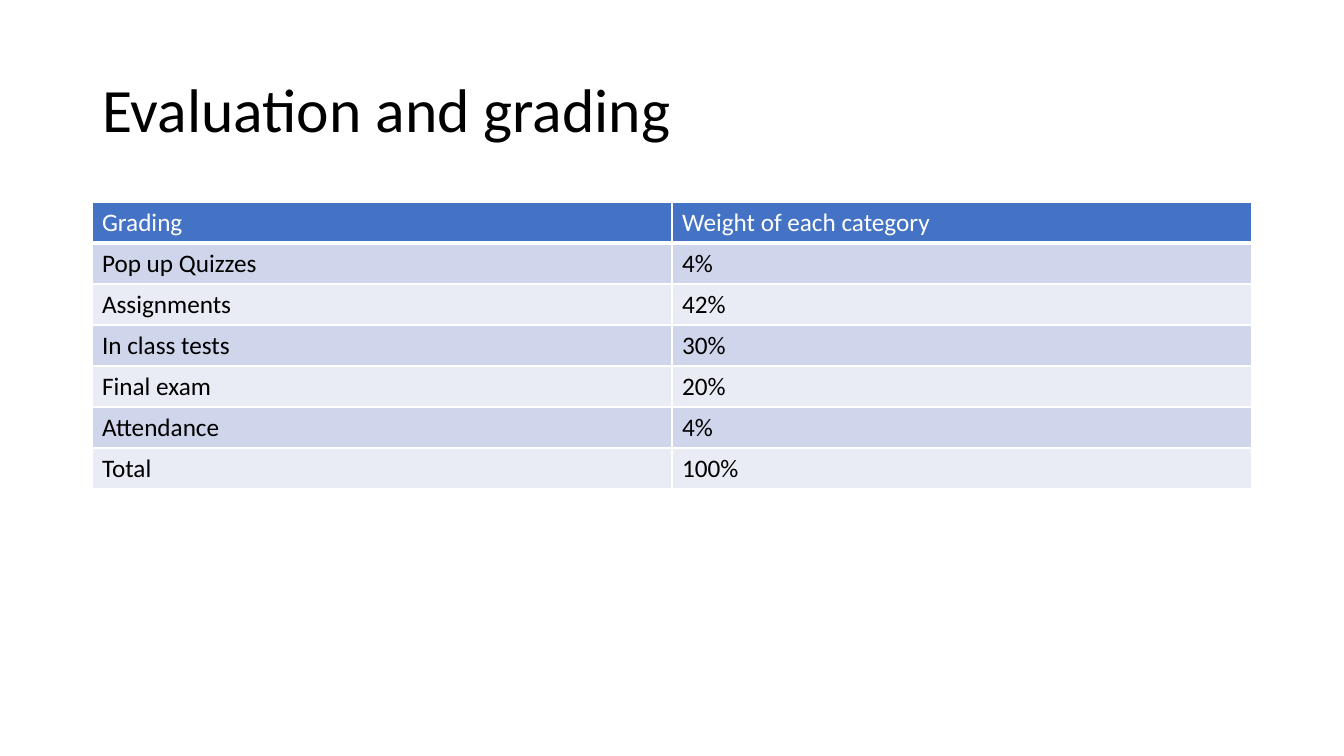
from lxml.etree import SubElement
from pptx import Presentation
from pptx.dml.color import RGBColor
from pptx.enum.text import MSO_ANCHOR, PP_ALIGN
from pptx.oxml.ns import qn
from pptx.util import Emu, Pt

SCALE = 914400 / 100.8  # EMU in one px
COLORS = {
    "black": "000000",
    "white": "FFFFFF",
    "header": "4472C4",
    "odd_row": "CFD5EA",
    "even_row": "E9EBF5",
}
GRADING = [
    ("Grading", "Weight of each category"),
    ("Pop up Quizzes", "4%"),
    ("Assignments", "42%"),
    ("In class tests", "30%"),
    ("Final exam", "20%"),
    ("Attendance", "4%"),
    ("Total", "100%"),
]


def px(length):
    return Emu(round(length * SCALE))


class SlideBuilder:
    """Holds the style and the current slide."""

    font_name = "Calibri"

    def __init__(self, slide):
        self.slide = slide

    def add_run(self, paragraph, text, size, color):
        run = paragraph.add_run()
        run.text = text
        run.font.name = self.font_name
        run.font.size = Pt(size)
        run.font.bold = False
        run.font.color.rgb = RGBColor.from_string(COLORS[color])

    def title(self, text, left, top, width, height):
        shape = self.slide.shapes.title
        shape.left, shape.top = px(left), px(top)
        shape.width, shape.height = px(width), px(height)
        shape.text_frame.vertical_anchor = MSO_ANCHOR.MIDDLE
        paragraph = shape.text_frame.paragraphs[0]
        paragraph.alignment = PP_ALIGN.LEFT
        paragraph.line_spacing = 0.9
        self.add_run(paragraph, text, 44, "black")

    def borders(self, cell, bottom_width):
        properties = cell._tc.get_or_add_tcPr()
        widths = {"a:lnL": 1, "a:lnR": 1, "a:lnT": 1, "a:lnB": bottom_width}
        for side, width in widths.items():
            line = SubElement(properties, qn(side), w=str(Pt(width)))
            fill = SubElement(line, qn("a:solidFill"))
            SubElement(fill, qn("a:srgbClr"), val=COLORS["white"])

    def table(self, rows, left, top, column_width, row_height):
        column_count = len(rows[0])
        frame = self.slide.shapes.add_table(
            len(rows), column_count, px(left), px(top),
            px(column_width * column_count), px(row_height * len(rows)))
        for row_index, values in enumerate(rows):
            is_header = row_index == 0
            band = "odd_row" if row_index % 2 else "even_row"
            for column_index, text in enumerate(values):
                cell = frame.table.cell(row_index, column_index)
                self.borders(cell, 3 if is_header else 1)
                cell.fill.solid()
                cell.fill.fore_color.rgb = RGBColor.from_string(
                    COLORS["header" if is_header else band])
                self.add_run(cell.text_frame.paragraphs[0], text, 18,
                             "white" if is_header else "black")


def main():
    presentation = Presentation()
    presentation.slide_width, presentation.slide_height = px(1344), px(756)
    title_only = presentation.slide_layouts[5]
    builder = SlideBuilder(presentation.slides.add_slide(title_only))

    # Title
    builder.title("Evaluation and grading", 92, 40, 1160, 146)

    # Grading table
    builder.table(GRADING, 92, 202, 580, 41)

    presentation.save("out.pptx")


if __name__ == "__main__":
    main()
